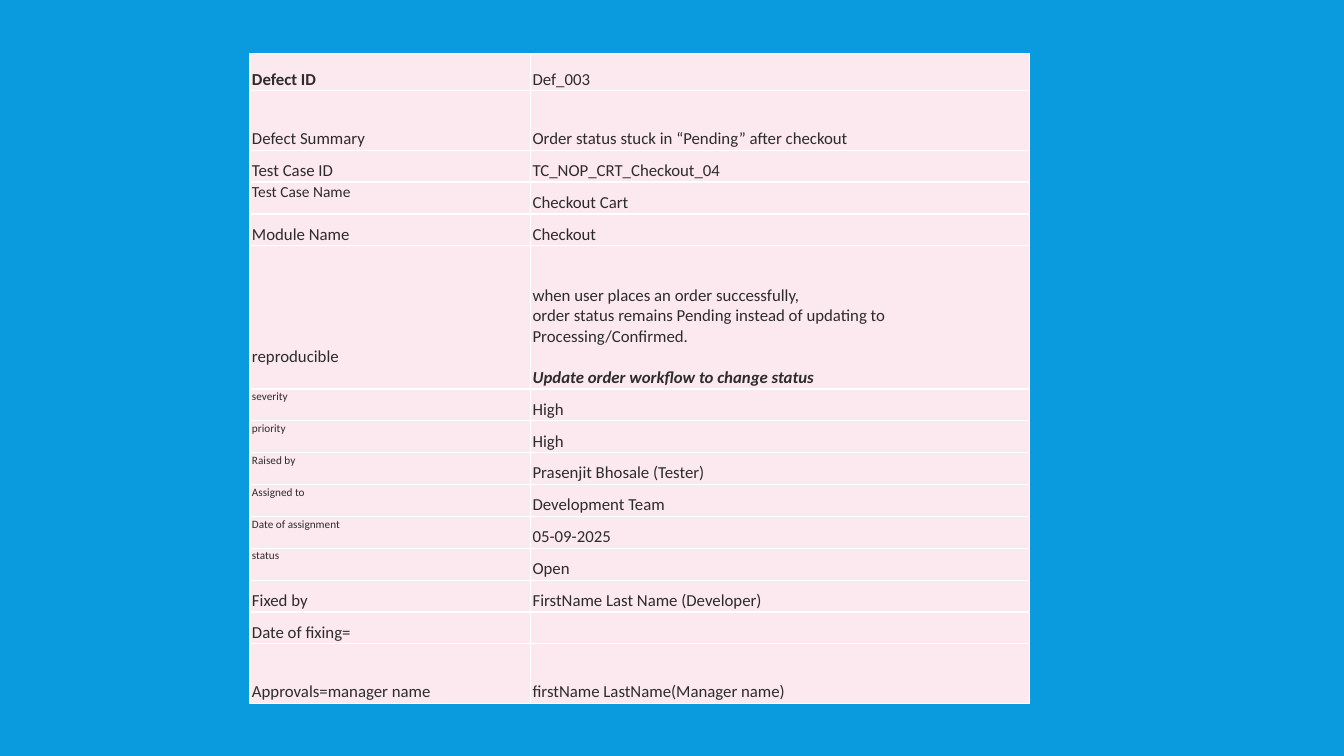
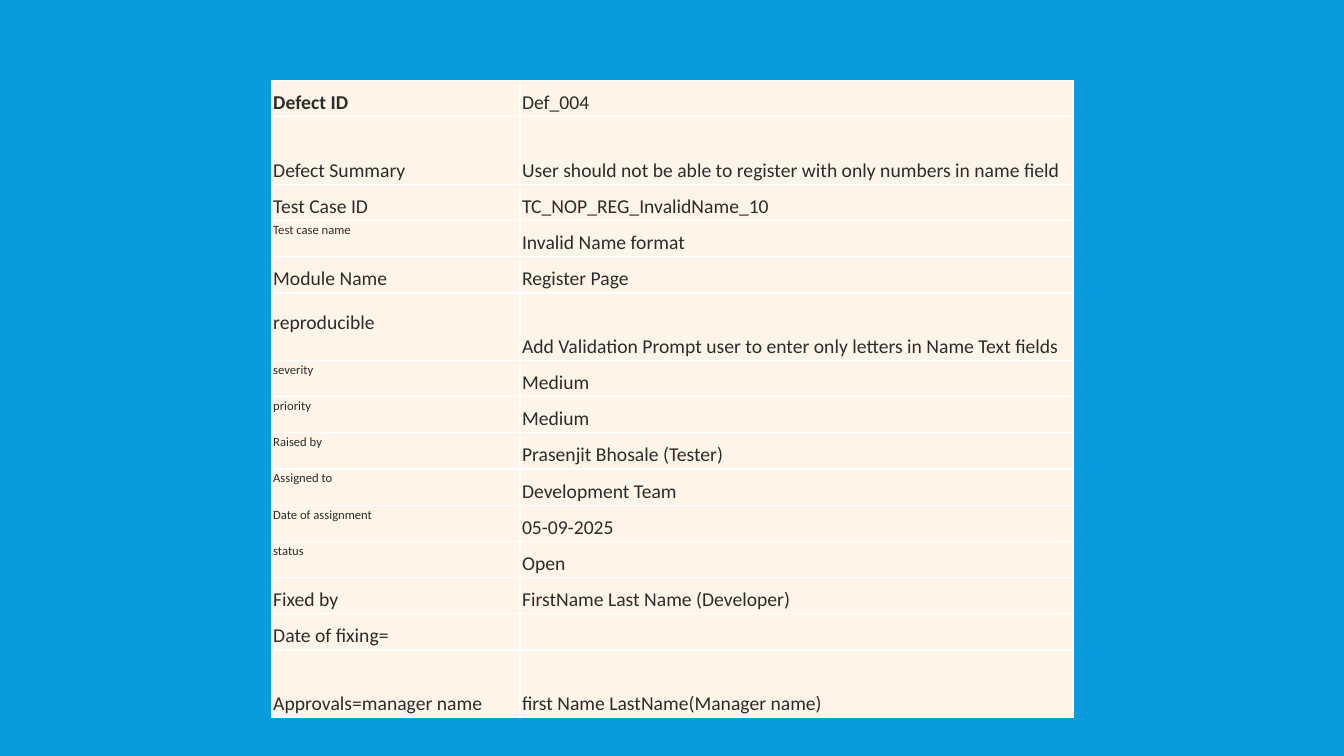
from lxml.etree import SubElement
from pptx import Presentation
from pptx.dml.color import RGBColor
from pptx.enum.text import MSO_ANCHOR
from pptx.oxml.ns import qn
from pptx.util import Inches, Pt

WIDE, HIGH = 13.33, 7.5
LINE = 1.22
HEX = {"back": "099BDD", "ink": "2C2C2C", "edge": "FFFFFF",
       "pink": "FCE8EF", "cream": "FFF4E7"}
SMALL = ("Test Case Name", "Test case name", "severity", "priority",
         "Raised by", "Assigned to", "Date of assignment", "status")
TAIL = [
    ("Raised by", "Prasenjit Bhosale (Tester)"),
    ("Assigned to", "Development Team"),
    ("Date of assignment", "05-09-2025"),
    ("status", "Open"),
    ("Fixed by", "FirstName Last Name (Developer)"),
    ("Date of fixing=", ""),
]
ORDER = {
    "box": (18.6, 7.07, 58, 86), "split": 0.36, "fill": "pink", "pad": 0.01,
    "size": 12, "small": 8, "sizes": {"Test Case Name": 11},
    "tall": {0: 4.93, 1: 7.87, 5: 18.93, 14: 7.87},
    "rows": [
        ("Defect ID", "Def_003"),
        ("Defect Summary", "Order status stuck in “Pending” after checkout"),
        ("Test Case ID", "TC_NOP_CRT_Checkout_04"),
        ("Test Case Name", "Checkout Cart"),
        ("Module Name", "Checkout"),
        ("reproducible", "when user places an order successfully,\v"
                         "order status remains Pending instead of updating to\v"
                         "Processing/Confirmed."),
        ("severity", "High"),
        ("priority", "High"),
        *TAIL,
        ("Approvals=manager name", "firstName LastName(Manager name)"),
    ],
    "note": "Update order workflow to change status",
}
NAME = {
    "box": (20.18, 10.67, 59.72, 84.27), "split": 0.31, "fill": "cream", "pad": 0.02,
    "size": 14, "small": 9, "sizes": {},
    "tall": {1: 8.93, 5: 8.93, 14: 8.93},
    "rows": [
        ("Defect ID", "Def_004"),
        ("Defect Summary",
         "User should not be able to register with only numbers in name field"),
        ("Test Case ID", "TC_NOP_REG_InvalidName_10"),
        ("Test case name", "Invalid Name format"),
        ("Module Name", "Register Page"),
        ("reproducible",
         "Add Validation Prompt user to enter only letters in Name Text fields"),
        ("severity", "Medium"),
        ("priority", "Medium"),
        *TAIL,
        ("Approvals=manager name", "first Name LastName(Manager name)"),
    ],
    "note": "",
}


def across(part):
    return Inches(WIDE * part / 100)


def down(part):
    return Inches(HIGH * part / 100)


def color(name):
    return RGBColor.from_string(HEX[name])


def apply(thing, style):
    for key, value in style.items():
        setattr(thing, key, value)


def paint(fill, name):
    fill.solid()
    fill.fore_color.rgb = color(name)


def edge(cell):
    props = cell._tc.get_or_add_tcPr()
    for side in ("a:lnL", "a:lnR", "a:lnT", "a:lnB"):
        line = SubElement(props, qn(side), w=str(Pt(1)))
        SubElement(SubElement(line, qn("a:solidFill")), qn("a:srgbClr"), val=HEX["edge"])


def write(para, text, size, bold=False, slant=False):
    if not text:
        para._p.get_or_add_endParaRPr().set("sz", str(size * 100))
        return
    para.text = text
    for run in para.runs:
        apply(run.font, {"name": "Calibri", "size": Pt(size), "bold": bold, "italic": slant})
        run.font.color.rgb = color("ink")


def fill_cell(cell, text, size, case, top=False, bold=False, lift=0):
    pad = Inches(case["pad"])
    apply(cell, {
        "margin_left": Inches(0.02), "margin_right": Inches(0.02),
        "margin_top": pad, "margin_bottom": pad + Pt(lift),
        "vertical_anchor": MSO_ANCHOR.TOP if top else MSO_ANCHOR.BOTTOM,
    })
    edge(cell)
    paint(cell.fill, case["fill"])
    write(cell.text_frame.paragraphs[0], text, size, bold)


def add_note(cell, text, size):
    para = cell.text_frame.add_paragraph()
    para.space_before = Pt(size * LINE)
    write(para, text, size, True, True)


def add_grid(slide, case):
    left, top, width, height = case["box"]
    rows, tall, size = case["rows"], case["tall"], case["size"]
    grid = slide.shapes.add_table(len(rows), 2, across(left), down(top),
                                  across(width), down(height)).table
    apply(grid, {"first_row": False, "horz_banding": False})
    for col, share in zip(grid.columns, (case["split"], 1 - case["split"])):
        col.width = across(width * share)
    rest = (height - sum(tall.values())) / (len(rows) - len(tall))
    for index, (label, value) in enumerate(rows):
        grid.rows[index].height = down(tall.get(index, rest))
        small = label in SMALL
        fit = case["sizes"].get(label, case["small"]) if small else size
        lift = size * LINE if label == "reproducible" else 0
        fill_cell(grid.cell(index, 0), label, fit, case, small, index == 0, lift)
        fill_cell(grid.cell(index, 1), value, size, case)
        if lift and case["note"]:
            add_note(grid.cell(index, 1), case["note"], size)


def main():
    deck = Presentation()
    apply(deck, {"slide_width": Inches(WIDE), "slide_height": Inches(HIGH)})
    for case in (ORDER, NAME):
        slide = deck.slides.add_slide(deck.slide_layouts[6])
        paint(slide.background.fill, "back")
        add_grid(slide, case)
    deck.save("out.pptx")


if __name__ == "__main__":
    main()
